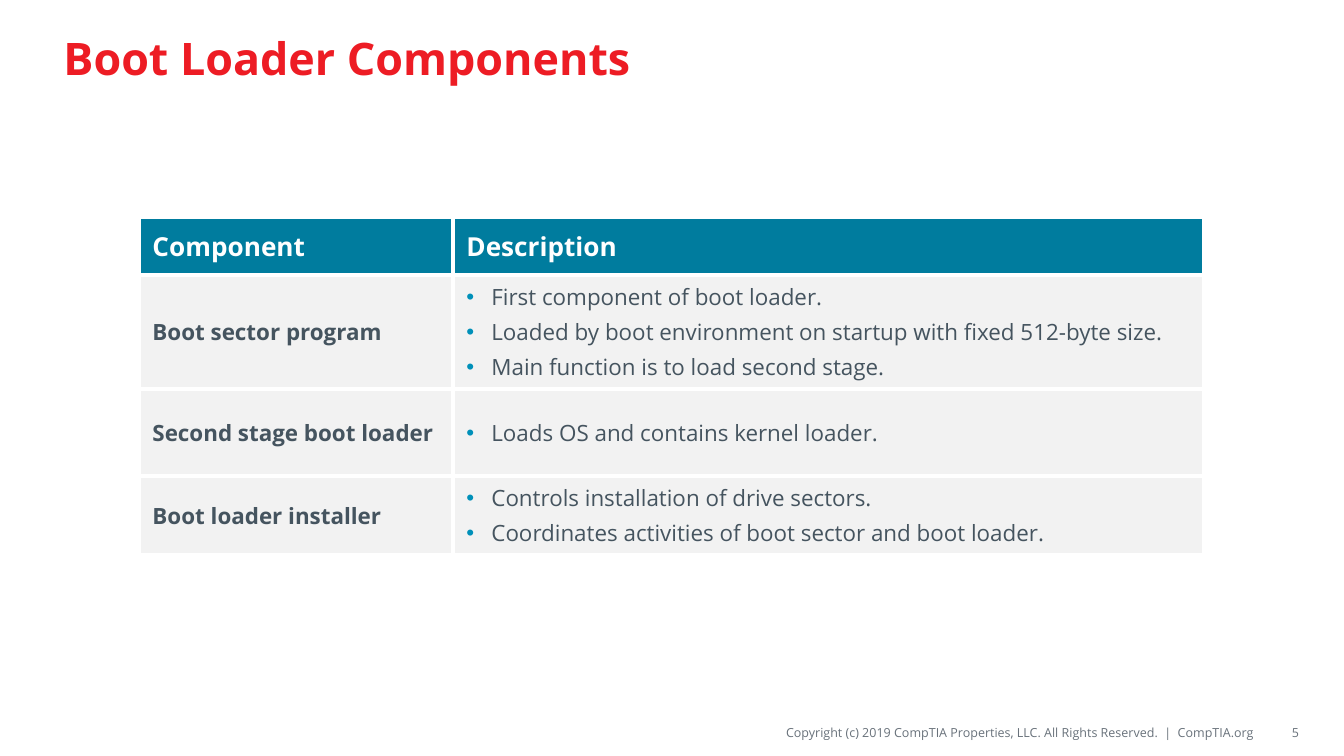
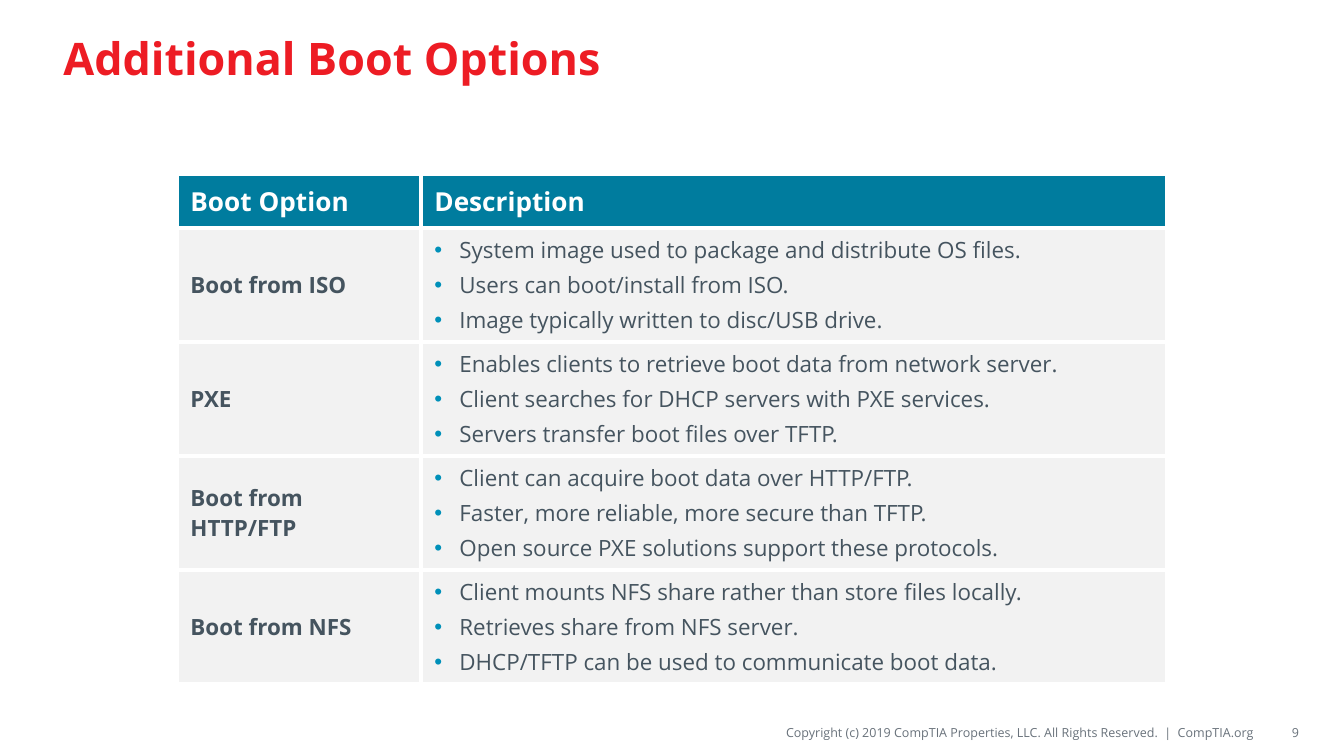
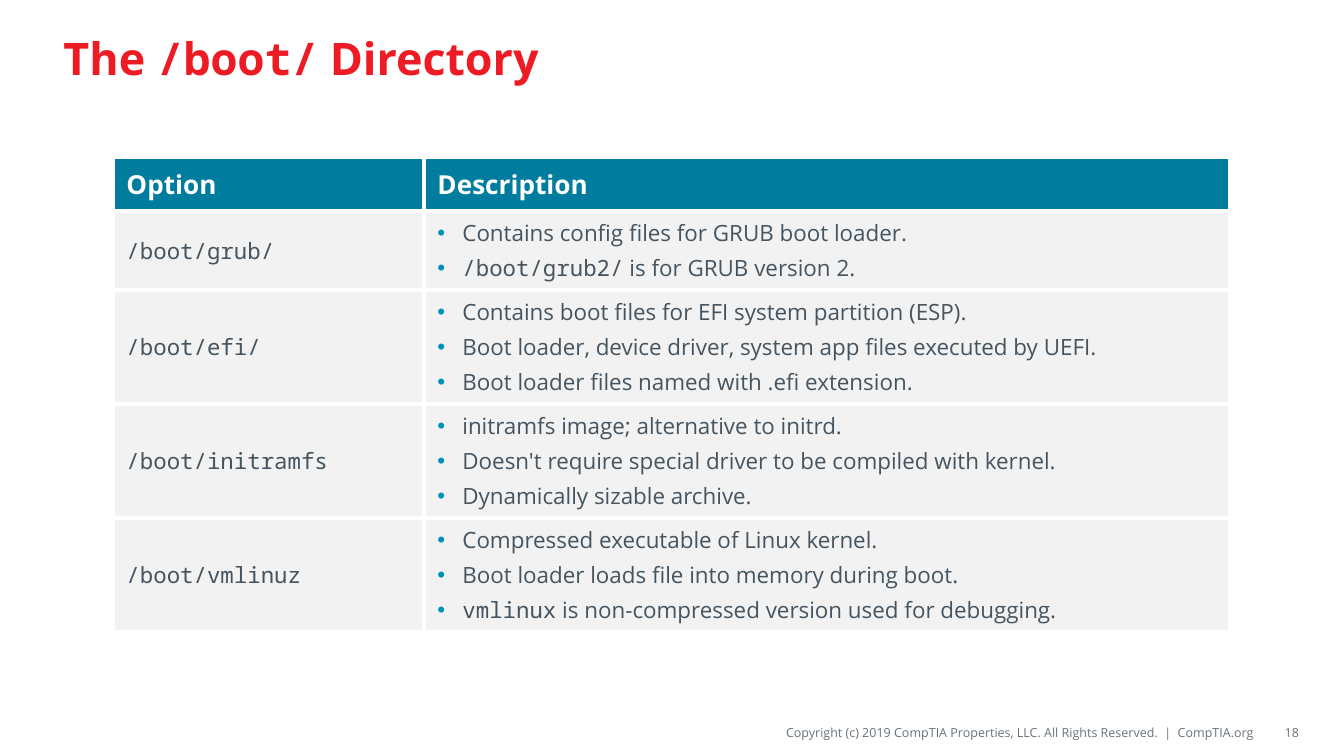
from lxml import etree
from pptx import Presentation
from pptx import util as u
from pptx.dml.color import RGBColor
from pptx.enum import text
from pptx.oxml import ns

SANS, MONO = "Open Sans", "Noto Sans Mono"
RED, TEAL, BLUE = "ED1C24", "007C9E", "0090B9"
SLATE, GRAY, PALE, WHITE = "45545F", "69727B", "F2F2F2", "FFFFFF"

TITLE_STYLE = dict(size=u.Pt(24), bold=True, color=RED)
HEADER_STYLE = dict(size=u.Pt(14), bold=True, color=WHITE)
BODY_STYLE = dict(size=u.Pt(12), bold=False, color=SLATE)
FOOTER_STYLE = dict(size=u.Pt(6.75), bold=False, color=GRAY)

SLIDE_SIZE = (1344, 756)
TITLE_BOX = (50, 11, 1243, 93)
COPYRIGHT_BOX = (521, 717, 734, 30)
NUMBER_BOX = (1261, 717, 38, 30)
BULLET_INDENT = 25
COPYRIGHT = "Copyright (c) 2019 CompTIA Properties, LLC. All Rights Reserved.  |  CompTIA.org"

SLIDES = [
    dict(
        number="5",
        title="Boot Loader Components",
        corner=(139, 217),
        columns=(314, 751),
        row_heights=(58, 114, 87, 79),
        header=("Component", "Description"),
        rows=[
            ("Boot sector program", [
                "First component of boot loader.",
                "Loaded by boot environment on startup with fixed 512-byte size.",
                "Main function is to load second stage."]),
            ("Second stage boot loader", [
                "Loads OS and contains kernel loader."]),
            ("Boot loader installer", [
                "Controls installation of drive sectors.",
                "Coordinates activities of boot sector and boot loader."]),
        ],
    ),
    dict(
        number="9",
        title="Additional Boot Options",
        corner=(177, 174),
        columns=(244, 746),
        row_heights=(54, 114, 114, 114, 114),
        header=("Boot Option", "Description"),
        rows=[
            ("Boot from ISO", [
                "System image used to package and distribute OS files.",
                "Users can boot/install from ISO.",
                "Image typically written to disc/USB drive."]),
            ("PXE", [
                "Enables clients to retrieve boot data from network server.",
                "Client searches for DHCP servers with PXE services.",
                "Servers transfer boot files over TFTP."]),
            ("Boot from HTTP/FTP", [
                "Client can acquire boot data over HTTP/FTP.",
                "Faster, more reliable, more secure than TFTP.",
                "Open source PXE solutions support these protocols."]),
            ("Boot from NFS", [
                "Client mounts NFS share rather than store files locally.",
                "Retrieves share from NFS server.",
                "DHCP/TFTP can be used to communicate boot data."]),
        ],
    ),
    dict(
        number="18",
        title="The `/boot/` Directory",
        corner=(113, 157),
        columns=(311, 806),
        row_heights=(54, 79, 114, 114, 114),
        header=("Option", "Description"),
        rows=[
            ("`/boot/grub/`", [
                "Contains config files for GRUB boot loader.",
                "`/boot/grub2/` is for GRUB version 2."]),
            ("`/boot/efi/`", [
                "Contains boot files for EFI system partition (ESP).",
                "Boot loader, device driver, system app files executed by UEFI.",
                "Boot loader files named with .efi extension."]),
            ("`/boot/initramfs`", [
                "initramfs image; alternative to initrd.",
                "Doesn't require special driver to be compiled with kernel.",
                "Dynamically sizable archive."]),
            ("`/boot/vmlinuz`", [
                "Compressed executable of Linux kernel.",
                "Boot loader loads file into memory during boot.",
                "`vmlinux` is non-compressed version used for debugging."]),
        ],
    ),
]


def px(length):
    return u.Emu(round(length * 914400 / 134.4))


def rgb(value):
    return RGBColor.from_string(value)


def set_attributes(target, **values):
    for name, value in values.items():
        setattr(target, name, value)


def add_element(parent, tag, **attributes):
    return etree.SubElement(parent, ns.qn(tag), attributes)


def write(paragraph, marked_text, style):
    for index, part in enumerate(marked_text.split("`")):
        if part:
            run = paragraph.add_run()
            run.text = part
            set_attributes(run.font, name=MONO if index % 2 else SANS,
                           size=style["size"], bold=style["bold"])
            run.font.color.rgb = rgb(style["color"])


def add_bullet(paragraph):
    properties = paragraph._p.get_or_add_pPr()
    properties.set("marL", str(px(BULLET_INDENT)))
    properties.set("indent", str(-px(BULLET_INDENT)))
    add_element(add_element(properties, "a:buClr"), "a:srgbClr", val=BLUE)
    add_element(properties, "a:buFont", typeface="Arial")
    add_element(properties, "a:buChar", char="•")


def format_cell(cell, fill):
    cell.vertical_anchor = text.MSO_ANCHOR.MIDDLE
    properties = cell._tc.get_or_add_tcPr()
    for side in "LRTB":
        line = add_element(properties, f"a:ln{side}", w=str(u.Pt(2.25)))
        add_element(add_element(line, "a:solidFill"), "a:srgbClr", val=WHITE)
    cell.fill.solid()
    cell.fill.fore_color.rgb = rgb(fill)


def fill_cell(cell, lines, style, fill, bulleted=False):
    format_cell(cell, fill)
    for index, line in enumerate(lines):
        paragraph = cell.text_frame.paragraphs[0]
        if index:
            paragraph = cell.text_frame.add_paragraph()
            paragraph.space_before = u.Pt(style["size"].pt * 0.2)
        if bulleted:
            add_bullet(paragraph)
        write(paragraph, line, style)


def add_title(slide, title):
    shape = slide.shapes.title
    left, top, width, height = map(px, TITLE_BOX)
    set_attributes(shape, left=left, top=top, width=width, height=height)
    set_attributes(shape.text_frame, vertical_anchor=text.MSO_ANCHOR.MIDDLE,
                   auto_size=text.MSO_AUTO_SIZE.NONE, word_wrap=True)
    paragraph = shape.text_frame.paragraphs[0]
    paragraph.alignment = text.PP_ALIGN.LEFT
    write(paragraph, title, TITLE_STYLE)


def add_footer_text(slide, box, words, left_margin):
    frame = slide.shapes.add_textbox(*map(px, box)).text_frame
    set_attributes(frame, word_wrap=True, vertical_anchor=text.MSO_ANCHOR.MIDDLE,
                   margin_left=px(left_margin), margin_right=0,
                   margin_top=px(6), margin_bottom=px(6))
    frame.paragraphs[0].alignment = text.PP_ALIGN.RIGHT
    write(frame.paragraphs[0], words, FOOTER_STYLE)


def add_description_table(slide, content):
    columns, row_heights = content["columns"], content["row_heights"]
    left, top = content["corner"]
    table = slide.shapes.add_table(len(row_heights), len(columns), px(left), px(top),
                                   px(sum(columns)), px(sum(row_heights))).table
    table.horz_banding = False
    for column, width in zip(table.columns, columns):
        column.width = px(width)
    for row, height in zip(table.rows, row_heights):
        row.height = px(height)

    for index, heading in enumerate(content["header"]):
        fill_cell(table.cell(0, index), [heading], HEADER_STYLE, TEAL)
    for index, (label, points) in enumerate(content["rows"], 1):
        label_style = dict(BODY_STYLE, bold="`" not in label)
        fill_cell(table.cell(index, 0), [label], label_style, PALE)
        fill_cell(table.cell(index, 1), points, BODY_STYLE, PALE, bulleted=True)


def main():
    presentation = Presentation()
    width, height = map(px, SLIDE_SIZE)
    set_attributes(presentation, slide_width=width, slide_height=height)
    for content in SLIDES:
        slide = presentation.slides.add_slide(presentation.slide_layouts[5])
        add_footer_text(slide, COPYRIGHT_BOX, COPYRIGHT, 0)
        add_title(slide, content["title"])
        add_footer_text(slide, NUMBER_BOX, content["number"], 13)
        add_description_table(slide, content)
    presentation.save("out.pptx")


if __name__ == "__main__":
    main()
